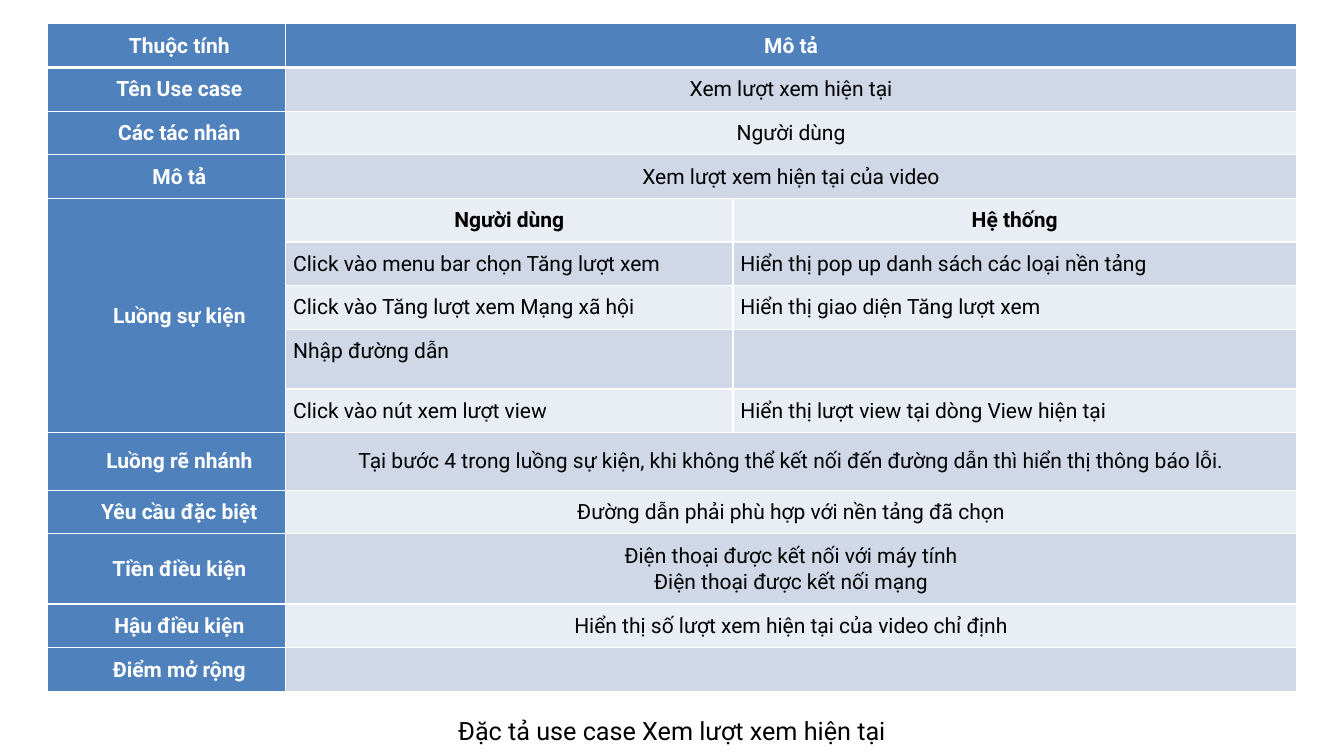
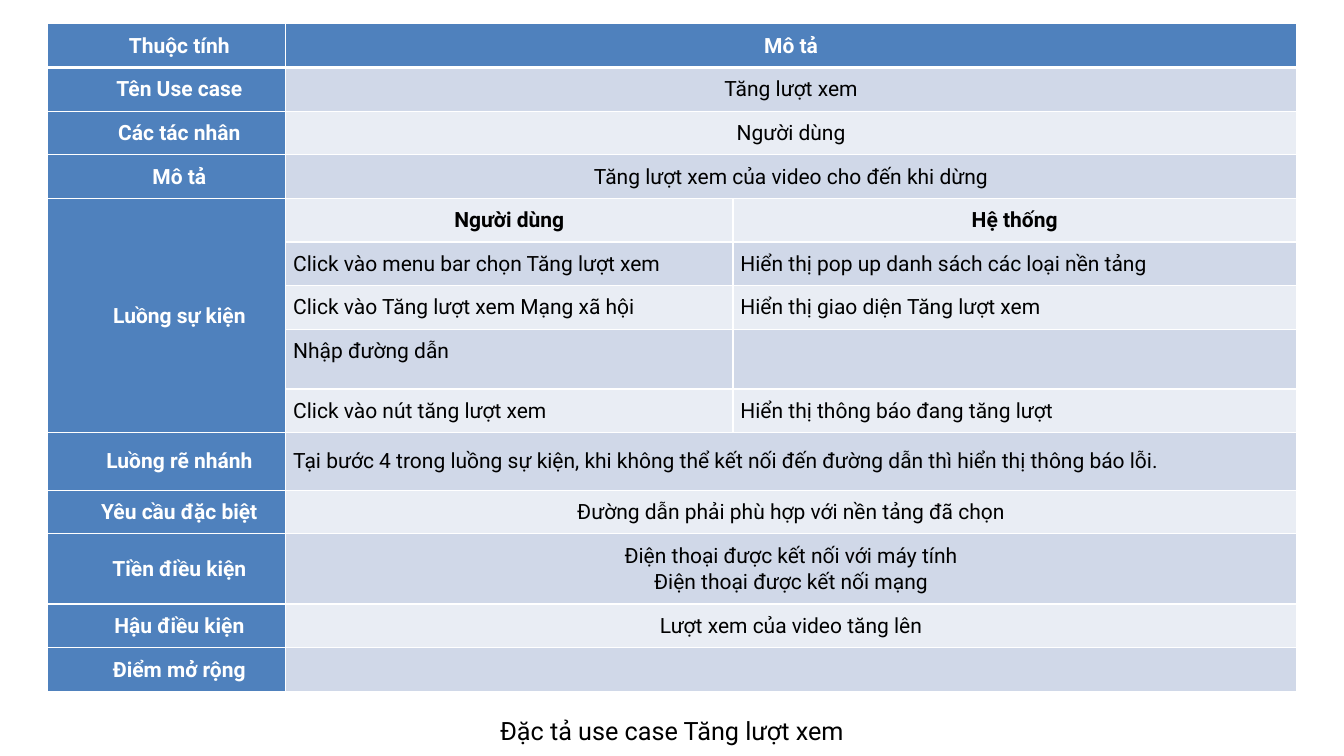
"""Build two use case specification slides, each with a table and a caption."""
from dataclasses import dataclass

from lxml.etree import SubElement
from pptx import Presentation
from pptx.dml.color import RGBColor
from pptx.enum.text import MSO_ANCHOR, MSO_AUTO_SIZE, PP_ALIGN
from pptx.oxml.ns import qn
from pptx.util import Cm, Pt


@dataclass(frozen=True)
class Theme:
    font: str = "Roboto"
    table_size: int = 15
    caption_size: int = 18
    header: str = "4F81BD"
    odd_band: str = "D0D8E8"
    even_band: str = "E9EDF4"
    light: str = "FFFFFF"
    dark: str = "000000"
    thin_line: float = 1
    thick_line: float = 3


THEME = Theme()
COLUMN_WIDTHS = [6.0, 11.27, 14.2]
ROW_HEIGHT = 1.1
TALL_ROWS = {7: 1.5, 9: 1.45, 11: 1.77}
FLOW_START, FLOW_END = 4, 8
TABLE_LEFT, TABLE_TOP = 1.2, 0.6
TABLE_WIDTH = sum(COLUMN_WIDTHS)

USE_CASES = [
    {
        "name": "Xem lượt xem hiện tại",
        "summary": "Xem lượt xem hiện tại của video",
        "action": "Click vào nút xem lượt view",
        "response": "Hiển thị lượt view tại dòng View hiện tại",
        "branch_align": PP_ALIGN.CENTER,
        "result": "Hiển thị số lượt xem hiện tại của video chỉ định",
    },
    {
        "name": "Tăng lượt xem",
        "summary": "Tăng lượt xem của video cho đến khi dừng",
        "action": "Click vào nút tăng lượt xem",
        "response": "Hiển thị thông báo đang tăng lượt",
        "branch_align": PP_ALIGN.LEFT,
        "result": "Lượt xem của video tăng lên",
    },
]


def write(frame, text, size=THEME.table_size, color=THEME.dark, bold=False,
          align=PP_ALIGN.CENTER, spacing=1.07, indent=0):
    frame.text = text
    for paragraph in frame.paragraphs:
        paragraph.alignment = align
        paragraph.line_spacing = spacing
        if indent:
            paragraph._p.get_or_add_pPr().set("marL", str(Cm(indent)))
        for run in paragraph.runs:
            run.font.name = THEME.font
            run.font.size = Pt(size)
            run.font.bold = bold
            run.font.color.rgb = RGBColor.from_string(color)


def add_borders(cell, top, bottom):
    properties = cell._tc.get_or_add_tcPr()
    widths = {"a:lnL": THEME.thin_line, "a:lnR": THEME.thin_line, "a:lnT": top, "a:lnB": bottom}
    for tag, width in widths.items():
        line = SubElement(properties, qn(tag), w=str(Pt(width)))
        fill = SubElement(line, qn("a:solidFill"))
        SubElement(fill, qn("a:srgbClr"), val=THEME.light)


presentation = Presentation()
presentation.slide_width = Cm(33.87)
presentation.slide_height = Cm(19.05)
title_only = presentation.slide_layouts[5]

for use_case in USE_CASES:
    slide = presentation.slides.add_slide(title_only)
    rows = [
        ("Thuộc tính", "Mô tả", None),
        ("Tên Use case", use_case["name"], None),
        ("Các tác nhân", "Người dùng", None),
        ("Mô tả", use_case["summary"], None),
        ("Luồng sự kiện", "Người dùng", "Hệ thống"),
        ("", "Click vào menu bar chọn Tăng lượt xem", "Hiển thị pop up danh sách các loại nền tảng"),
        ("", "Click vào Tăng lượt xem Mạng xã hội", "Hiển thị giao diện Tăng lượt xem"),
        ("", "Nhập đường dẫn", ""),
        ("", use_case["action"], use_case["response"]),
        ("Luồng rẽ nhánh", "Tại bước 4 trong luồng sự kiện, khi không thể kết nối đến đường dẫn "
                           "thì hiển thị thông báo lỗi.", None),
        ("Yêu cầu đặc biệt", "Đường dẫn phải phù hợp với nền tảng đã chọn", None),
        ("Tiền điều kiện", "Điện thoại được kết nối với máy tính\nĐiện thoại được kết nối mạng", None),
        ("Hậu điều kiện", use_case["result"], None),
        ("Điểm mở rộng", "", None),
    ]
    heights = [TALL_ROWS.get(index, ROW_HEIGHT) for index in range(len(rows))]
    table = slide.shapes.add_table(
        len(rows), len(COLUMN_WIDTHS), Cm(TABLE_LEFT), Cm(TABLE_TOP),
        Cm(TABLE_WIDTH), Cm(sum(heights))).table
    for column, width in zip(table.columns, COLUMN_WIDTHS):
        column.width = Cm(width)
    for row, height in zip(table.rows, heights):
        row.height = Cm(height)
    table.cell(FLOW_START, 0).merge(table.cell(FLOW_END, 0))

    for row_index, texts in enumerate(rows):
        if texts[2] is None:
            table.cell(row_index, 1).merge(table.cell(row_index, 2))
        in_flow = FLOW_START <= row_index <= FLOW_END
        band = THEME.odd_band if row_index % 2 else THEME.even_band
        for column_index, text in enumerate(texts):
            cell = table.cell(row_index, column_index)
            if cell.is_spanned:
                continue
            is_label = column_index == 0
            is_header = is_label or row_index == 0
            add_borders(cell,
                        top=THEME.thick_line if row_index == 1 else THEME.thin_line,
                        bottom=THEME.thick_line if row_index == 0 else THEME.thin_line)
            cell.fill.solid()
            cell.fill.fore_color.rgb = RGBColor.from_string(THEME.header if is_header else band)
            if not text:
                continue
            cell.margin_left = cell.margin_right = Cm(0.19)
            cell.margin_top, cell.margin_bottom = Cm(0.2), Cm(0.22)
            cell.vertical_anchor = MSO_ANCHOR.TOP if in_flow and not is_label else MSO_ANCHOR.MIDDLE
            align = PP_ALIGN.CENTER
            if in_flow and row_index > FLOW_START:
                align = PP_ALIGN.LEFT
            elif texts[0] == "Luồng rẽ nhánh" and not is_label:
                align = use_case["branch_align"]
            write(cell.text_frame, text, align=align,
                  color=THEME.light if is_header else THEME.dark,
                  bold=is_header or row_index == FLOW_START,
                  indent=0.64 if is_label else 0)

    caption = slide.shapes.title
    caption.left, caption.top = Cm(TABLE_LEFT), Cm(17.9)
    caption.width, caption.height = Cm(TABLE_WIDTH), Cm(1.03)
    caption.text_frame.auto_size = MSO_AUTO_SIZE.NONE
    caption.text_frame.vertical_anchor = MSO_ANCHOR.TOP
    write(caption.text_frame, f"Đặc tả use case {use_case['name']}",
          size=THEME.caption_size, spacing=1.0)

presentation.save("out.pptx")
